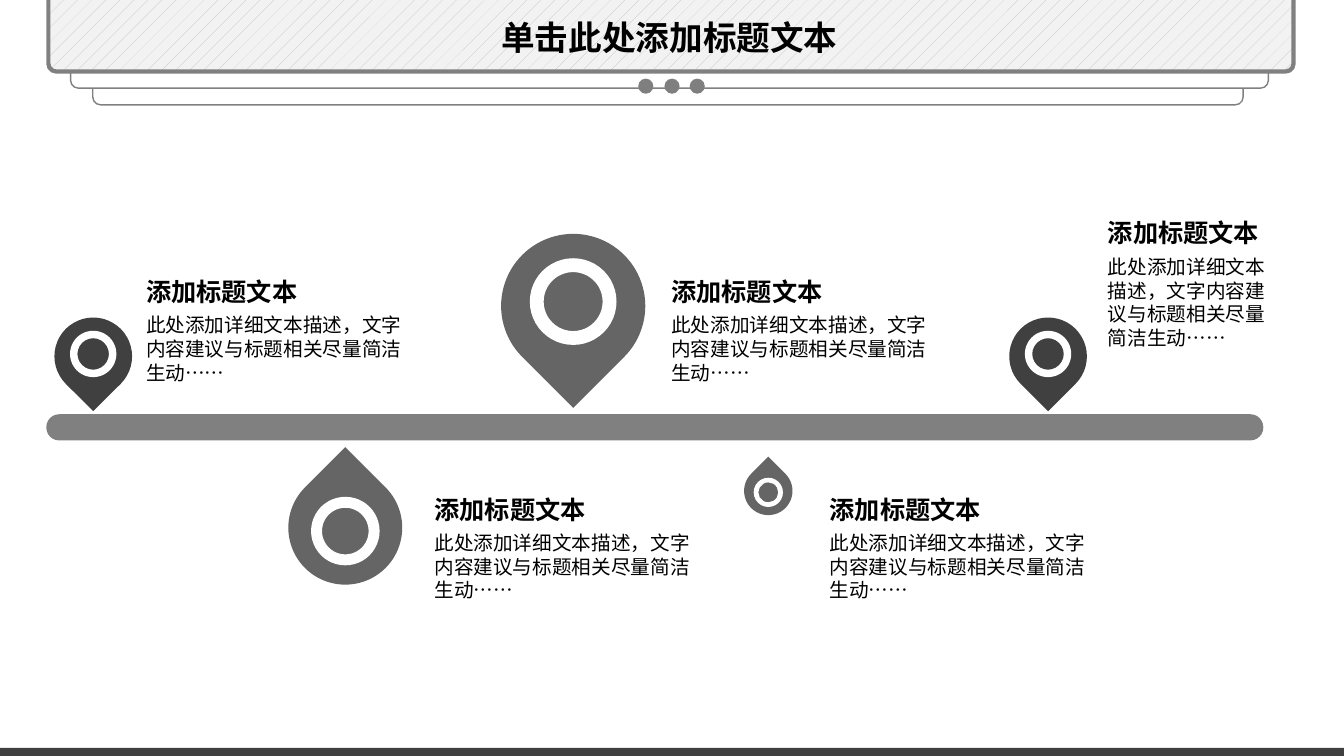
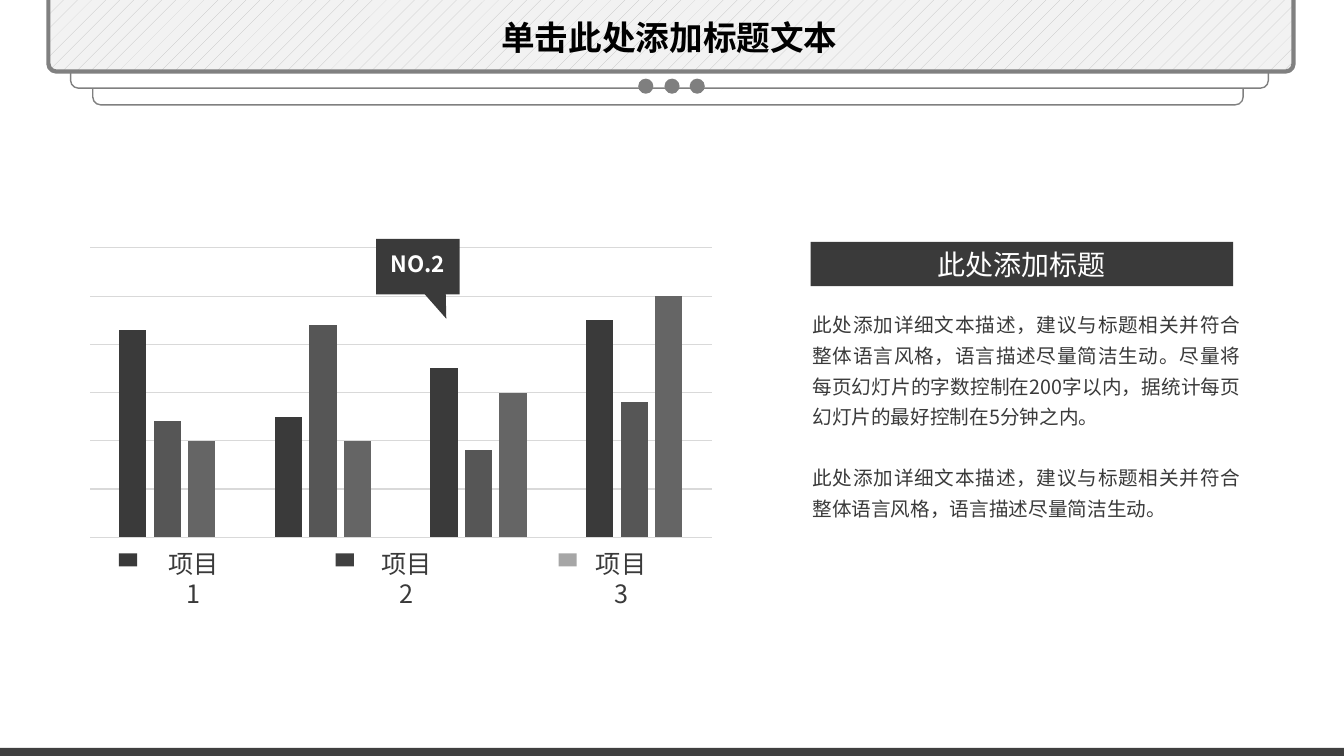
from lxml import etree
from pptx import Presentation
from pptx.chart.data import CategoryChartData
from pptx.dml.color import RGBColor
from pptx.enum.chart import XL_CHART_TYPE as ChartType
from pptx.enum.dml import MSO_PATTERN as Pattern
from pptx.enum.shapes import MSO_SHAPE as Shape
from pptx.enum.text import MSO_ANCHOR as Anchor, PP_ALIGN as Align
from pptx.oxml.ns import qn
from pptx.util import Emu, Pt

EMU_PER_PX = 9144
SLIDE_W, SLIDE_H = 1333, 750
FONT = "Noto Sans CJK JP"
BLACK = RGBColor(0x00, 0x00, 0x00)
WHITE = RGBColor(0xFF, 0xFF, 0xFF)
CHARCOAL = RGBColor(0x3A, 0x3A, 0x3A)
DARK = RGBColor(0x40, 0x40, 0x40)
SLATE = RGBColor(0x56, 0x56, 0x56)
MEDIUM = RGBColor(0x65, 0x65, 0x65)
DOT_GRAY = RGBColor(0x7F, 0x7F, 0x7F)
FRAME_GRAY = RGBColor(0x80, 0x80, 0x80)
SILVER = RGBColor(0xA6, 0xA6, 0xA6)
HATCH = RGBColor(0xBF, 0xBF, 0xBF)
GRID_GRAY = RGBColor(0xD9, 0xD9, 0xD9)
PALE = RGBColor(0xF2, 0xF2, 0xF2)

TITLE = "单击此处添加标题文本"
CAPTION_HEADING = "添加标题文本"
CAPTION_DETAIL = "此处添加详细文本描述，文字内容建议与标题相关尽量简洁生动……"
BANNER = "此处添加标题"
COMMENTARY = (
    "此处添加详细文本描述，建议与标题相关并符合整体语言风格，语言描述尽量简洁生动。"
    "尽量将每页幻灯片的字数控制在200字以内，据统计每页幻灯片的最好控制在5分钟之内。\n"
    "此处添加详细文本描述，建议与标题相关并符合整体语言风格，语言描述尽量简洁生动。"
)
PINS = [
    (54, 315, 77, DARK, True),
    (497, 232, 143, MEDIUM, True),
    (286, 467, 113, MEDIUM, False),
    (738, 463, 48, MEDIUM, False),
    (1001, 315, 77, DARK, True),
]
CAPTIONS = [
    (135, 269, 288, 81),
    (656, 269, 288, 81),
    (1089, 211, 195, 104),
    (421, 485, 288, 81),
    (813, 485, 288, 81),
]
SERIES = [
    ("Series 1", (86, 50, 70, 90), CHARCOAL),
    ("Series 2", (48, 88, 36, 56), SLATE),
    ("Series 3", (40, 40, 60, 100), MEDIUM),
]
LEGEND = [
    ("项目1", 118, 152, CHARCOAL),
    ("项目2", 333, 363, DARK),
    ("项目3", 554, 576, SILVER),
]


def px(*lengths):
    """Turn pixel lengths into EMU."""
    return [Emu(round(length * EMU_PER_PX)) for length in lengths]


def add_figure(parent, kind, box, fill=None, adjust=(), rotation=0):
    """Add a flat preset shape without an outline."""
    figure = parent.shapes.add_shape(kind, *px(*box))
    figure.shadow.inherit = False
    figure.line.fill.background()
    if fill is None:
        figure.fill.background()
    else:
        figure.fill.solid()
        figure.fill.fore_color.rgb = fill
    for index, value in enumerate(adjust):
        figure.adjustments[index] = value
    figure.rotation = rotation
    return figure


def write(frame, text, size, color, bold=False, align=Align.LEFT):
    """Put formatted text into a text frame."""
    frame.text = text
    frame.word_wrap = True
    for paragraph in frame.paragraphs:
        paragraph.alignment = align
        for run in paragraph.runs:
            run.font.size = Pt(size)
            run.font.bold = bold
            run.font.color.rgb = color
            run.font.name = FONT
            east_asian = etree.SubElement(run.font._element, qn("a:ea"))
            east_asian.set("typeface", FONT)


def add_text(slide, box, text, size, color, **style):
    """Add a wrapping text box."""
    frame = slide.shapes.add_textbox(*px(*box)).text_frame
    write(frame, text, size, color, **style)
    return frame


def add_frame(slide):
    """Draw the layered header sheets, dots, footer band and title."""
    for step, (fill, weight) in enumerate([(None, 1), (WHITE, 1), (PALE, 3)]):
        box = (92 - 22 * step, -286 - 16.5 * step, 1141 + 47 * step, 390)
        sheet = add_figure(slide, Shape.ROUNDED_RECTANGLE, box, fill, [0.02])
        sheet.line.color.rgb = FRAME_GRAY
        sheet.line.width = Pt(weight)
    sheet.fill.patterned()
    sheet.fill.pattern = Pattern.PERCENT_5
    sheet.fill.fore_color.rgb = HATCH
    sheet.fill.back_color.rgb = PALE
    add_figure(slide, Shape.RECTANGLE, (0, 742, SLIDE_W, 8), DARK)
    for left in (633, 659, 684):
        add_figure(slide, Shape.OVAL, (left, 78, 15, 15), DOT_GRAY)
    add_text(slide, (426, 12, 476, 50), TITLE, 24, BLACK, bold=True, align=Align.CENTER)


def add_pin(slide, left, top, size, color, points_down):
    """Draw a map pin with a white ring, pointing down or up."""
    pin = slide.shapes.add_group_shape()
    turn, lift = (135, -0.03) if points_down else (315, 0.03)
    ring = round(size * 0.6)
    margin = (size - ring) / 2
    add_figure(pin, Shape.TEAR, (left, top, size, size), color, rotation=turn)
    ring_box = (left + margin, top + margin + lift * size, ring, ring)
    add_figure(pin, Shape.DONUT, ring_box, WHITE, [0.16])


def add_caption(slide, left, top, width, height):
    """Add a heading with its detail text."""
    add_text(slide, (left, top + 37, width, height), CAPTION_DETAIL, 14, BLACK)
    add_text(slide, (left, top, 172, 40), CAPTION_HEADING, 18, BLACK, bold=True)


def add_columns(slide):
    """Add the clustered column chart."""
    data = CategoryChartData()
    data.categories = ["1", "2", "3", "4"]
    for name, values, _ in SERIES:
        data.add_series(name, values)
    box = px(76, 240, 643, 299)
    chart = slide.shapes.add_chart(ChartType.COLUMN_CLUSTERED, *box, data).chart
    chart.has_legend = False
    chart.has_title = False
    chart.font.size = Pt(10)
    chart.font.name = FONT
    chart.font.color.rgb = BLACK
    chart.category_axis.visible = False
    scale = chart.value_axis
    scale.visible = False
    scale.minimum_scale, scale.maximum_scale, scale.major_unit = 0, 120, 20
    scale.has_major_gridlines = True
    scale.major_gridlines.format.line.color.rgb = GRID_GRAY
    scale.major_gridlines.format.line.width = Pt(0.75)
    plot = chart.plots[0]
    plot.vary_by_categories = False
    plot.gap_width, plot.overlap = 219, -27
    for series, (_, _, color) in zip(plot.series, SERIES):
        series.format.fill.solid()
        series.format.fill.fore_color.rgb = color
        series.invert_if_negative = False


def add_legend_entry(slide, label, swatch_left, label_left, color):
    """Add a colour swatch and its label."""
    add_figure(slide, Shape.RECTANGLE, (swatch_left, 549, 18, 13), color)
    add_text(slide, (label_left, 539, 80, 70), label, 18, CHARCOAL, align=Align.CENTER)


def add_callout(slide):
    """Add the rank callout above the columns."""
    add_figure(slide, Shape.RECTANGULAR_CALLOUT, (373, 237, 83, 55), CHARCOAL, [0.34, 0.94])
    add_text(slide, (373, 243, 83, 37), "NO.2", 16, WHITE, bold=True, align=Align.CENTER)


def add_commentary(slide):
    """Add the banner and the justified commentary below it."""
    body = add_text(slide, (796, 299, 444, 223), COMMENTARY, 14, CHARCOAL, align=Align.JUSTIFY)
    for paragraph in body.paragraphs:
        paragraph.line_spacing = 1.3
    body.paragraphs[1].space_before = Pt(22)
    banner = add_figure(slide, Shape.RECTANGLE, (804, 240, 419, 44), CHARCOAL)
    write(banner.text_frame, BANNER, 20, WHITE, align=Align.CENTER)
    banner.text_frame.vertical_anchor = Anchor.MIDDLE


def build_timeline(slide):
    """Build the timeline slide."""
    add_frame(slide)
    add_figure(slide, Shape.ROUNDED_RECTANGLE, (46, 411, 1207, 26), FRAME_GRAY, [0.49])
    for pin in PINS:
        add_pin(slide, *pin)
    for caption in CAPTIONS:
        add_caption(slide, *caption)


def build_chart(slide):
    """Build the chart slide."""
    add_frame(slide)
    add_columns(slide)
    for entry in LEGEND:
        add_legend_entry(slide, *entry)
    add_callout(slide)
    add_commentary(slide)


def main():
    """Build and save the presentation."""
    deck = Presentation()
    deck.slide_width, deck.slide_height = px(SLIDE_W, SLIDE_H)
    for build in (build_timeline, build_chart):
        build(deck.slides.add_slide(deck.slide_layouts[6]))
    deck.save("out.pptx")


if __name__ == "__main__":
    main()
